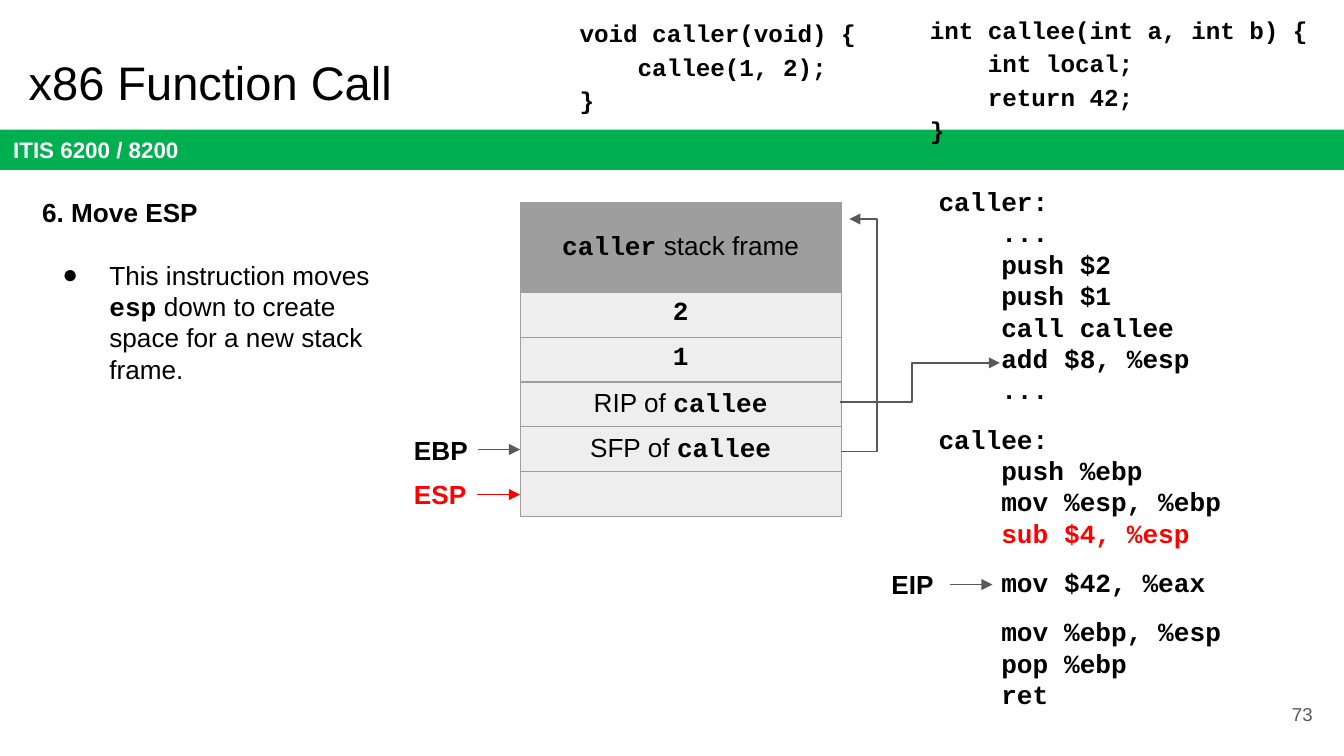
from dataclasses import dataclass

from lxml.etree import SubElement
from pptx import Presentation
from pptx.dml.color import RGBColor
from pptx.enum.shapes import MSO_CONNECTOR, MSO_SHAPE
from pptx.enum.text import MSO_ANCHOR, PP_ALIGN
from pptx.oxml.ns import qn
from pptx.util import Emu, Pt


@dataclass(frozen=True)
class Theme:
    """Colours, fonts and type sizes of the slide."""
    ink: str = "000000"
    accent: str = "FF0000"
    banner: str = "00B050"
    paper: str = "FFFFFF"
    grey: str = "595959"
    border: str = "9E9E9E"
    cell: str = "EEEEEE"
    sans: str = "Arial"
    mono: str = "Courier New"
    title: float = 25.2
    body: float = 14
    listing: float = 13
    course: float = 12
    number: float = 10
    gap: float = 9.6
    leading: float = 1.2
    loose: float = 1.38
    rule: float = 0.75


THEME = Theme()
EMU_PER_PX = 4572
CALLER_SOURCE = ["void caller(void) {", "    callee(1, 2);", "}"]
CALLEE_SOURCE = ["int callee(int a, int b) {", "    int local;", "    return 42;", "}"]
ASSEMBLY = [
    ["caller:", "    ...", "    push $2", "    push $1", "    call callee",
     "    add $8, %esp", "    ..."],
    ["callee:", "    push %ebp", "    mov %esp, %ebp", "    sub $4, %esp"],
    ["    mov $42, %eax"],
    ["    mov %ebp, %esp", "    pop %ebp", "    ret"],
]
CURRENT_INSTRUCTION = "    sub $4, %esp"


def px(length):
    """Turn px into EMU."""
    return Emu(length * EMU_PER_PX)


def rgb(colour):
    """Turn a hex string into a colour."""
    return RGBColor.from_string(colour)


def add_run(paragraph, text, size=THEME.body, font=THEME.sans, colour=THEME.ink, bold=False):
    """Add one styled run."""
    run = paragraph.add_run()
    run.text = text
    run.font.size = Pt(size)
    run.font.name = font
    run.font.bold = bold
    run.font.color.rgb = rgb(colour)


def add_code(paragraph, text, size=THEME.body, colour=THEME.ink):
    """Add one run of bold code."""
    add_run(paragraph, text, size, THEME.mono, colour, True)


def set_frame(frame, inset, anchor=MSO_ANCHOR.TOP):
    """Set wrapping, insets and anchor of a text frame."""
    frame.word_wrap = True
    frame.margin_left = frame.margin_right = px(inset)
    frame.margin_top = frame.margin_bottom = px(inset)
    frame.vertical_anchor = anchor


def add_text_box(slide, left, top, width, height, inset=20, anchor=MSO_ANCHOR.TOP):
    """Add an empty text box and return its frame."""
    frame = slide.shapes.add_textbox(px(left), px(top), px(width), px(height)).text_frame
    set_frame(frame, inset, anchor)
    return frame


def next_paragraph(frame, first):
    """Return the first paragraph or a new one, at body leading."""
    paragraph = frame.paragraphs[0] if first else frame.add_paragraph()
    paragraph.line_spacing = Pt(THEME.body * THEME.leading)
    return paragraph


def style_line(shape, colour):
    """Set a thin line that ends in a triangle."""
    shape.line.color.rgb = rgb(colour)
    shape.line.width = Pt(THEME.rule)
    SubElement(shape.line._get_or_add_ln(), qn("a:tailEnd"), type="triangle")


def add_elbow(slide, points):
    """Add an open arrow through the given corners."""
    builder = slide.shapes.build_freeform(*points[0], scale=float(EMU_PER_PX))
    builder.add_line_segments(points[1:], close=False)
    elbow = builder.convert_to_shape()
    elbow.fill.background()
    elbow.shadow.inherit = False
    style_line(elbow, THEME.grey)


def add_register(slide, name, left, top, start, end, line_y, colour, line_colour):
    """Add a register name with its pointer arrow."""
    paragraph = add_text_box(slide, left, top, 110, 68, 10).paragraphs[0]
    paragraph.alignment = PP_ALIGN.CENTER
    add_run(paragraph, name, colour=colour, bold=True)
    pointer = slide.shapes.add_connector(
        MSO_CONNECTOR.STRAIGHT, px(start), px(line_y), px(end), px(line_y))
    style_line(pointer, line_colour)
    SubElement(pointer._element.spPr, qn("a:effectLst"))


def add_source(slide, lines, left, top, width, height):
    """Add a C function as one paragraph of broken lines."""
    paragraph = add_text_box(slide, left, top, width, height).paragraphs[0]
    paragraph.line_spacing = Pt(THEME.listing * THEME.loose)
    for index, line in enumerate(lines):
        if index:
            paragraph.add_line_break()
        add_code(paragraph, line, THEME.listing)


def add_assembly(slide):
    """Add the assembly listing in spaced groups."""
    frame = add_text_box(slide, 1377, 256, 566, 850)
    for group_index, group in enumerate(ASSEMBLY):
        for index, line in enumerate(group):
            paragraph = next_paragraph(frame, group_index == index == 0)
            if group_index and index == 0:
                paragraph.space_before = Pt(THEME.gap)
            colour = THEME.accent if line == CURRENT_INSTRUCTION else THEME.ink
            add_code(paragraph, line, colour=colour)


def add_explanation(slide):
    """Add the step heading and its bullet."""
    frame = add_text_box(slide, 43, 272, 536, 824)
    add_run(next_paragraph(frame, True), "6. Move ESP", bold=True)
    bullet = next_paragraph(frame, False)
    bullet.space_before = Pt(THEME.body * THEME.leading)
    properties = bullet._p.get_or_add_pPr()
    properties.set("marL", str(px(100)))
    properties.set("indent", str(px(-70)))
    bullet_colour = SubElement(properties, qn("a:buClr"))
    SubElement(bullet_colour, qn("a:srgbClr"), val=THEME.ink)
    SubElement(properties, qn("a:buSzPts"), val=str(THEME.body * 100))
    SubElement(properties, qn("a:buFont"), typeface=THEME.sans)
    SubElement(properties, qn("a:buChar"), char="●")
    add_run(bullet, "This instruction moves ")
    add_code(bullet, "esp")
    add_run(bullet, " down to create space for a new stack frame.")


def style_cell(cell, fill):
    """Set fill, insets and borders of a cell."""
    properties = cell._tc.get_or_add_tcPr()
    for side in ("lnL", "lnR", "lnT", "lnB"):
        border = SubElement(properties, qn(f"a:{side}"), w=str(Pt(THEME.rule)))
        solid = SubElement(border, qn("a:solidFill"))
        SubElement(solid, qn("a:srgbClr"), val=THEME.border)
    cell.fill.solid()
    cell.fill.fore_color.rgb = rgb(fill)
    cell.margin_left = cell.margin_right = cell.margin_top = cell.margin_bottom = px(10)


def add_stack(slide):
    """Add the stack as a table, one row per slot."""
    slots = [("", "caller", " stack frame"), ("", "2", ""), ("", "1", ""),
             ("RIP of ", "callee", ""), ("SFP of ", "callee", ""), ("", "", "")]
    stack = slide.shapes.add_table(len(slots), 1, px(774), px(302), px(478), px(468)).table
    stack.first_row = stack.horz_banding = False
    for index, (before, code, after) in enumerate(slots):
        stack.rows[index].height = px(34 if index else 133)
        cell = stack.cell(index, 0)
        style_cell(cell, THEME.cell if index else THEME.border)
        cell.vertical_anchor = MSO_ANCHOR.TOP if index else MSO_ANCHOR.MIDDLE
        paragraph = cell.text_frame.paragraphs[0]
        paragraph.alignment = PP_ALIGN.CENTER
        for text, add in ((before, add_run), (code, add_code), (after, add_run)):
            if text:
                add(paragraph, text)
        ending = SubElement(paragraph._p, qn("a:endParaRPr"), sz=str(THEME.body * 100))
        SubElement(ending, qn("a:latin"), typeface=THEME.mono)


def add_banner(slide):
    """Add the course banner, slide title and slide number."""
    banner = slide.shapes.add_shape(MSO_SHAPE.RECTANGLE, 0, px(193), px(2000), px(60))
    banner.fill.solid()
    banner.fill.fore_color.rgb = rgb(THEME.banner)
    banner.line.fill.background()
    banner.shadow.inherit = False
    set_frame(banner.text_frame, 20, MSO_ANCHOR.MIDDLE)
    course = banner.text_frame.paragraphs[0]
    course.alignment = PP_ALIGN.LEFT
    add_run(course, "ITIS 6200 / 8200", THEME.course, colour=THEME.paper, bold=True)
    title = add_text_box(slide, 23, 60, 1864, 126).paragraphs[0]
    title.line_spacing = Pt(THEME.title * THEME.leading)
    add_run(title, "x86 Function Call", THEME.title)
    number = add_text_box(slide, 1853, 1020, 120, 86, anchor=MSO_ANCHOR.MIDDLE).paragraphs[0]
    number.alignment = PP_ALIGN.RIGHT
    add_run(number, "73", THEME.number, colour=THEME.grey)


def main():
    """Build the slide and save it."""
    deck = Presentation()
    deck.slide_width, deck.slide_height = px(2000), px(1125)
    slide = deck.slides.add_slide(deck.slide_layouts[6])
    add_banner(slide)
    add_assembly(slide)
    add_stack(slide)
    add_elbow(slide, [(1252, 672), (1305, 672), (1305, 326), (1264, 326)])
    add_explanation(slide)
    add_elbow(slide, [(1250, 598), (1357, 598), (1357, 540), (1488, 540)])
    add_register(slide, "EBP", 601, 636, 712, 774, 669, THEME.ink, THEME.grey)
    add_register(slide, "ESP", 600, 702, 710, 774, 736, THEME.accent, THEME.accent)
    add_register(slide, "EIP", 1303, 836, 1414, 1477, 870, THEME.ink, THEME.grey)
    add_source(slide, CALLER_SOURCE, 843, 1, 500, 188)
    add_source(slide, CALLEE_SOURCE, 1364, -4, 610, 236)
    deck.save("out.pptx")


if __name__ == "__main__":
    main()
